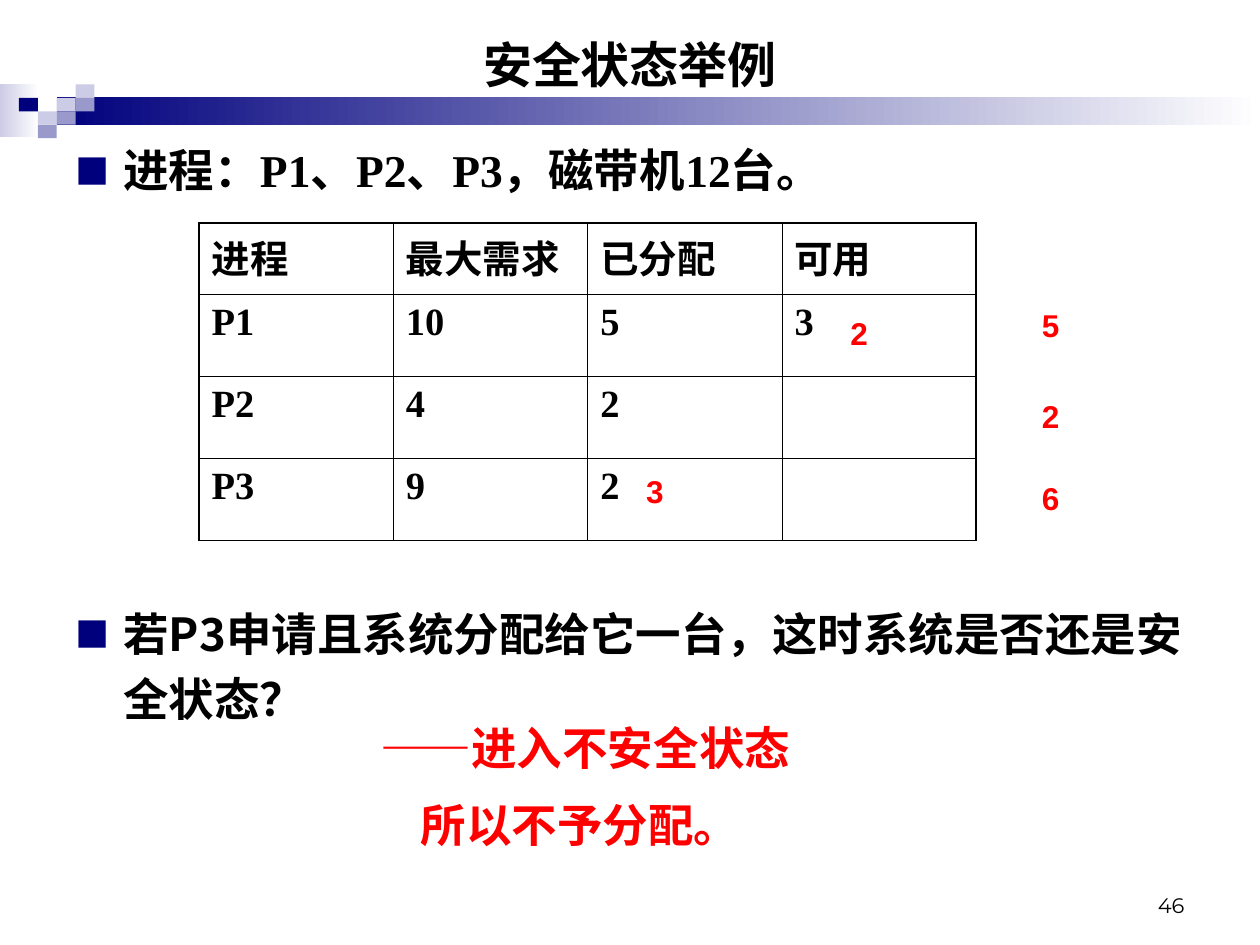
from typing import NamedTuple

from lxml import etree
from pptx import Presentation
from pptx import util as u
from pptx.dml.color import RGBColor
from pptx.enum import shapes, text
from pptx.oxml.ns import qn

BLACK, RED, NAVY, LILAC, VIOLET, WHITE = (
    "000000", "FF0000", "00007D", "CCCCE6", "9999CC", "FFFFFF")
CJK_FONT = "Noto Sans CJK SC"
SERIF = "Times New Roman"


class Box(NamedTuple):
    left: float
    top: float
    width: float
    height: float

    def lengths(self) -> list:
        return [u.Inches(value) for value in self]


class Tile(NamedTuple):
    column: int
    row: int
    color: str


class Mark(NamedTuple):
    label: str
    left: float
    top: float


TILES = [
    Tile(3, 1, LILAC), Tile(4, 0, LILAC), Tile(4, 1, VIOLET),
    Tile(2, 2, LILAC), Tile(1, 1, NAVY), Tile(3, 2, VIOLET), Tile(2, 3, VIOLET),
]
TILE_WIDTH, TILE_HEIGHT, TILES_TOP = 0.15, 0.32 / 3, 0.67
ROWS = [
    ["进程", "最大需求", "已分配", "可用"],
    ["P1", "10", "5", "3"],
    ["P2", "4", "2", ""],
    ["P3", "9", "2", ""],
]
ROW_HEIGHTS = [0.57, 0.65, 0.65, 0.65]
MARKS = [
    Mark("3", 5.03, 3.7), Mark("2", 6.65, 2.44),
    Mark("5", 8.17, 2.38), Mark("2", 8.17, 3.1), Mark("6", 8.17, 3.75),
]


def rgb(color: str) -> RGBColor:
    return RGBColor.from_string(color)


def add_element(parent, tag: str, **attributes: str):
    return etree.SubElement(parent, qn(tag), attributes)


def add_rectangle(slide, box: Box, color: str, end_color: str = "") -> None:
    """Draw a borderless rectangle, fading to end_color when one is given."""
    shape = slide.shapes.add_shape(shapes.MSO_SHAPE.RECTANGLE, *box.lengths())
    shape.shadow.inherit = False
    shape.line.fill.background()
    if end_color:
        shape.fill.gradient()
        shape.fill.gradient_angle = 0
        for stop, stop_color in zip(shape.fill.gradient_stops, (color, end_color)):
            stop.color.rgb = rgb(stop_color)
    else:
        shape.fill.solid()
        shape.fill.fore_color.rgb = rgb(color)


def add_run(paragraph, content: str, *, size: float, font: str = CJK_FONT,
            color: str = BLACK, bold: bool = True) -> None:
    run = paragraph.add_run()
    run.text = content
    run.font.size = u.Pt(size)
    run.font.bold = bold
    run.font.name = font
    run.font.color.rgb = rgb(color)
    add_element(run.font._element, "a:ea", typeface=CJK_FONT)


def set_indent(paragraph, left: float, first: float) -> None:
    properties = paragraph._p.get_or_add_pPr()
    properties.set("marL", str(u.Inches(left)))
    properties.set("indent", str(u.Inches(first)))


def add_bullet(paragraph) -> None:
    set_indent(paragraph, 0.38, -0.38)
    properties = paragraph._p.get_or_add_pPr()
    add_element(add_element(properties, "a:buClr"), "a:srgbClr", val=NAVY)
    add_element(properties, "a:buSzPct", val="75000")
    add_element(properties, "a:buFont", typeface=CJK_FONT)
    add_element(properties, "a:buChar", char="■")


def add_text(slide, box: Box, content: str, *, align=text.PP_ALIGN.LEFT,
             anchor=text.MSO_ANCHOR.TOP, wrap: bool = True, bullet: bool = False,
             line_spacing: float = 1.0, **run_format):
    """Add a text box with one paragraph and return its text frame."""
    frame = slide.shapes.add_textbox(*box.lengths()).text_frame
    frame.word_wrap = wrap
    frame.vertical_anchor = anchor
    paragraph = frame.paragraphs[0]
    paragraph.alignment = align
    paragraph.line_spacing = line_spacing
    if bullet:
        add_bullet(paragraph)
    add_run(paragraph, content, **run_format)
    return frame


def add_borders(cell, row: int, column: int) -> None:
    """Give thick lines to the outer edges of the table and thin ones inside."""
    last_row, last_column = len(ROWS) - 1, len(ROWS[0]) - 1
    edges = {"a:lnL": column == 0, "a:lnR": column == last_column,
             "a:lnT": row == 0, "a:lnB": row == last_row}
    properties = cell._tc.get_or_add_tcPr()
    for tag, outer in edges.items():
        line = add_element(properties, tag, w=str(u.Pt(1.08 if outer else 0.45)))
        add_element(add_element(line, "a:solidFill"), "a:srgbClr", val=BLACK)


def add_process_table(slide) -> None:
    box = Box(1.58, 1.77, 6.17, sum(ROW_HEIGHTS))
    table = slide.shapes.add_table(len(ROWS), len(ROWS[0]), *box.lengths()).table
    table.first_row = table.horz_banding = False
    for row, height in zip(table.rows, ROW_HEIGHTS):
        row.height = u.Inches(height)
    for row, values in enumerate(ROWS):
        for column, value in enumerate(values):
            cell = table.cell(row, column)
            add_borders(cell, row, column)
            cell.fill.background()
            if value:
                add_run(cell.text_frame.paragraphs[0], value, size=22, font=SERIF)


def add_decoration(slide) -> None:
    add_rectangle(slide, Box(0, 0.67, 0.31, 0.42), LILAC, WHITE)
    add_rectangle(slide, Box(0.45, 0.77, 9.55, 0.22), NAVY, WHITE)
    for tile in TILES:
        add_rectangle(slide, Box(tile.column * TILE_WIDTH,
                                 TILES_TOP + tile.row * TILE_HEIGHT,
                                 TILE_WIDTH, TILE_HEIGHT), tile.color)


def add_answer(slide) -> None:
    frame = add_text(slide, Box(2.92, 5.58, 6.75, 1.33), "——", size=26,
                     font="Arial", color=RED, line_spacing=1.2)
    first = frame.paragraphs[0]
    set_indent(first, 0.38, -0.38)
    add_run(first, "进入不安全状态", size=26, color=RED)
    second = frame.add_paragraph()
    second.line_spacing = 1.2
    second.space_before = u.Pt(6.5)
    set_indent(second, 0.32, 0)
    add_run(second, "所以不予分配。", size=26, color=RED)


def main() -> None:
    presentation = Presentation()
    presentation.slide_width = u.Inches(10)
    presentation.slide_height = u.Inches(7.5)
    slide = presentation.slides.add_slide(presentation.slide_layouts[6])

    add_decoration(slide)
    add_text(slide, Box(7.17, 6.83, 2.33, 0.5), "46", size=12, font="Montserrat",
             bold=False, align=text.PP_ALIGN.RIGHT, anchor=text.MSO_ANCHOR.BOTTOM)
    add_text(slide, Box(0.5, 0.17, 9, 0.67), "安全状态举例", size=28, font="Arial",
             align=text.PP_ALIGN.CENTER, anchor=text.MSO_ANCHOR.MIDDLE)
    add_text(slide, Box(0.5, 1.08, 8.58, 0.67), "进程：P1、P2、P3，磁带机12台。",
             size=26, font=SERIF, bullet=True)
    add_process_table(slide)
    add_text(slide, Box(0.5, 4.67, 9.17, 1.25),
             "若P3申请且系统分配给它一台，这时系统是否还是安全状态？",
             size=26, bullet=True, line_spacing=1.2)
    add_answer(slide)
    for mark in MARKS:
        frame = add_text(slide, Box(mark.left, mark.top, 0.34, 0.4), mark.label,
                         size=18, font="Arial", color=RED, wrap=False)
        frame.auto_size = text.MSO_AUTO_SIZE.SHAPE_TO_FIT_TEXT
    presentation.save("out.pptx")


if __name__ == "__main__":
    main()
